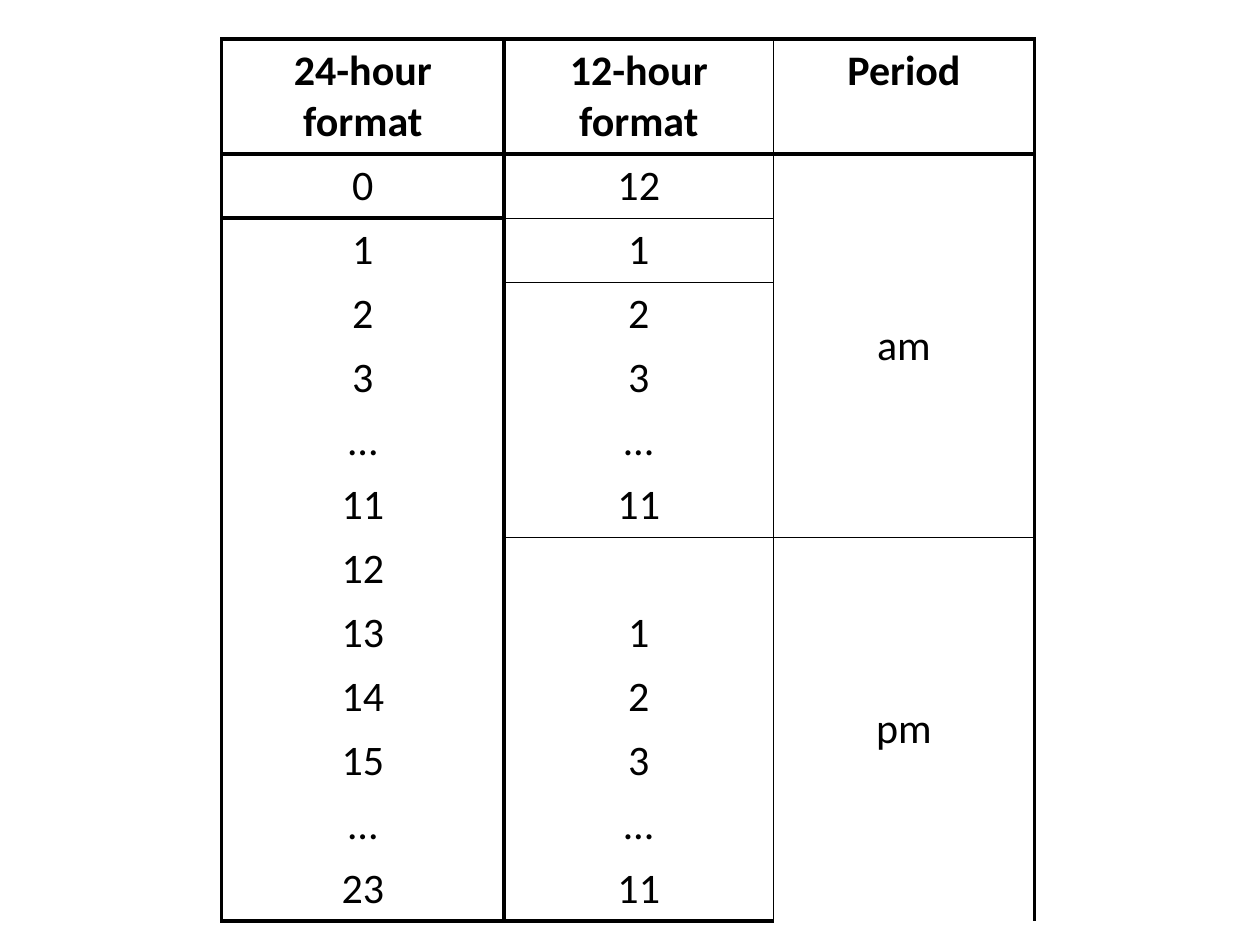
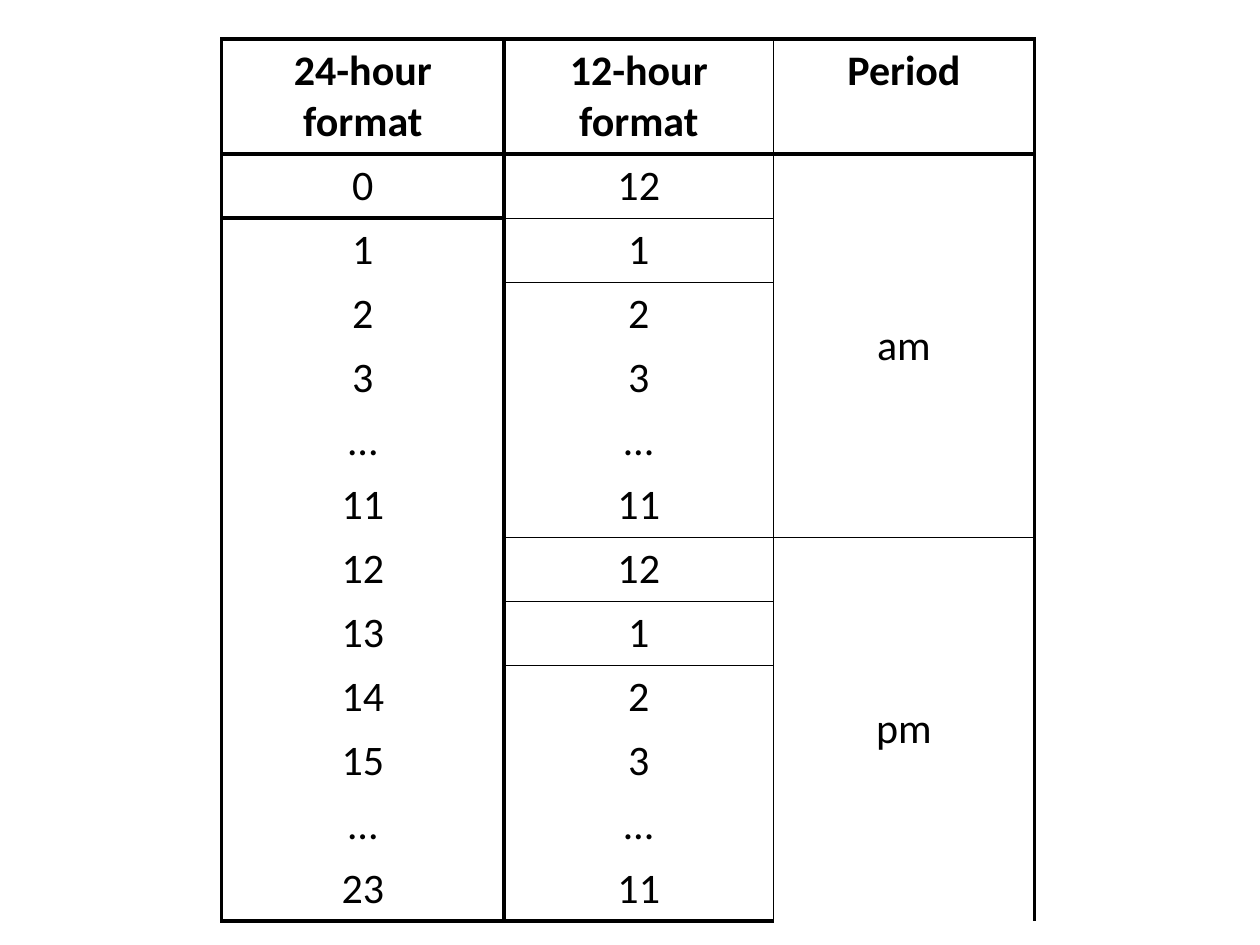
import dataclasses
import lxml.etree
import pptx
import pptx.dml.color
import pptx.enum.text
import pptx.oxml.ns
import pptx.util

Inches = pptx.util.Inches


@dataclasses.dataclass(frozen=True)
class Theme:
    ink: str = "000000"
    font: str = "Calibri"
    size: int = 24
    thick: float = 2.25
    thin: float = 0.5


THEME = Theme()

HEADINGS = ["24-hour format", "12-hour format", "Period"]
HOURS_24 = ["0", "1", "2", "3", "…", "11", "12", "13", "14", "15", "…", "23"]
HALF_DAY = ["1", "2", "3", "…", "11"]
PERIODS = ["am", "pm"]
ROWS_PER_PERIOD = 6
LAST_ROW = len(HOURS_24)
TABLE_BOX = (1.76, 0.31, 6.45, 6.9)
COLUMN_WIDTHS = [2.24, 2.14, 2.07]
HEADER_HEIGHT = 0.9

# Width of the vertical rules, from the left edge to the right edge
VERTICAL_RULES = [THEME.thick, THEME.thick, THEME.thin, THEME.thick]


def write_text(cell, text, bold=False, middle=False):
    """Put one centred line of text in a cell."""
    paragraph = cell.text_frame.paragraphs[0]
    paragraph.alignment = pptx.enum.text.PP_ALIGN.CENTER
    run = paragraph.add_run()
    run.text = text
    run.font.name = THEME.font
    run.font.size = pptx.util.Pt(THEME.size)
    run.font.bold = bold
    run.font.color.rgb = pptx.dml.color.RGBColor.from_string(THEME.ink)
    if middle:
        cell.vertical_anchor = pptx.enum.text.MSO_ANCHOR.MIDDLE


def set_border(cell, side, width):
    """Rule one side of a cell; a width of 0 leaves it open."""
    qn = pptx.oxml.ns.qn
    line = lxml.etree.SubElement(cell._tc.get_or_add_tcPr(), qn(f"a:ln{side}"))
    line.set("w", str(int(pptx.util.Pt(width))))
    if width:
        fill = lxml.etree.SubElement(line, qn("a:solidFill"))
        lxml.etree.SubElement(fill, qn("a:srgbClr")).set("val", THEME.ink)
    else:
        lxml.etree.SubElement(line, qn("a:noFill"))


def horizontal_rules(noon_shown):
    """For each column, the width of the rule under each ruled row."""
    frame = {-1: THEME.thick, 0: THEME.thick, LAST_ROW: THEME.thick}
    twelve_hour_rows = [1, 2, ROWS_PER_PERIOD]
    if noon_shown:
        twelve_hour_rows += [ROWS_PER_PERIOD + 1, ROWS_PER_PERIOD + 2]
    return [
        {**frame, 1: THEME.thick},
        {**frame, **dict.fromkeys(twelve_hour_rows, THEME.thin)},
        {**frame, ROWS_PER_PERIOD: THEME.thin},
    ]


def draw_rules(table, noon_shown):
    for column, rules in enumerate(horizontal_rules(noon_shown)):
        for row in range(LAST_ROW + 1):
            cell = table.cell(row, column)
            set_border(cell, "L", VERTICAL_RULES[column])
            set_border(cell, "R", VERTICAL_RULES[column + 1])
            set_border(cell, "T", rules.get(row - 1, 0))
            set_border(cell, "B", rules.get(row, 0))
            cell.fill.background()


def add_clock_table(slide, box, noon_shown):
    """Hours in both formats, with the am and pm halves merged."""
    left, top, width, height = box
    table = slide.shapes.add_table(
        LAST_ROW + 1, len(HEADINGS),
        Inches(left), Inches(top), Inches(width), Inches(height)).table
    table.first_row = False
    table.horz_banding = False

    # Column widths and row heights
    for column, column_width in zip(table.columns, COLUMN_WIDTHS):
        column.width = Inches(column_width)
    for row in table.rows:
        row.height = Inches((height - HEADER_HEIGHT) / LAST_ROW)
    table.rows[0].height = Inches(HEADER_HEIGHT)

    # Header row
    for column, heading in enumerate(HEADINGS):
        write_text(table.cell(0, column), heading, bold=True)

    # Hour columns
    noon = "12" if noon_shown else ""
    hours_12 = ["12", *HALF_DAY, noon, *HALF_DAY]
    for row, hours in enumerate(zip(HOURS_24, hours_12), start=1):
        for column, hour in enumerate(hours):
            write_text(table.cell(row, column), hour)

    draw_rules(table, noon_shown)

    # Period column
    for index, period in enumerate(PERIODS):
        first = 1 + index * ROWS_PER_PERIOD
        period_cell = table.cell(first, 2)
        period_cell.merge(table.cell(first + ROWS_PER_PERIOD - 1, 2))
        write_text(period_cell, period, middle=True)


presentation = pptx.Presentation()
presentation.slide_width = Inches(10)
presentation.slide_height = Inches(7.5)
blank_layout = presentation.slide_layouts[6]

# The 12-hour noon entry is left open first, then filled in
for noon_shown in (False, True):
    add_clock_table(presentation.slides.add_slide(blank_layout), TABLE_BOX, noon_shown)

presentation.save("out.pptx")
